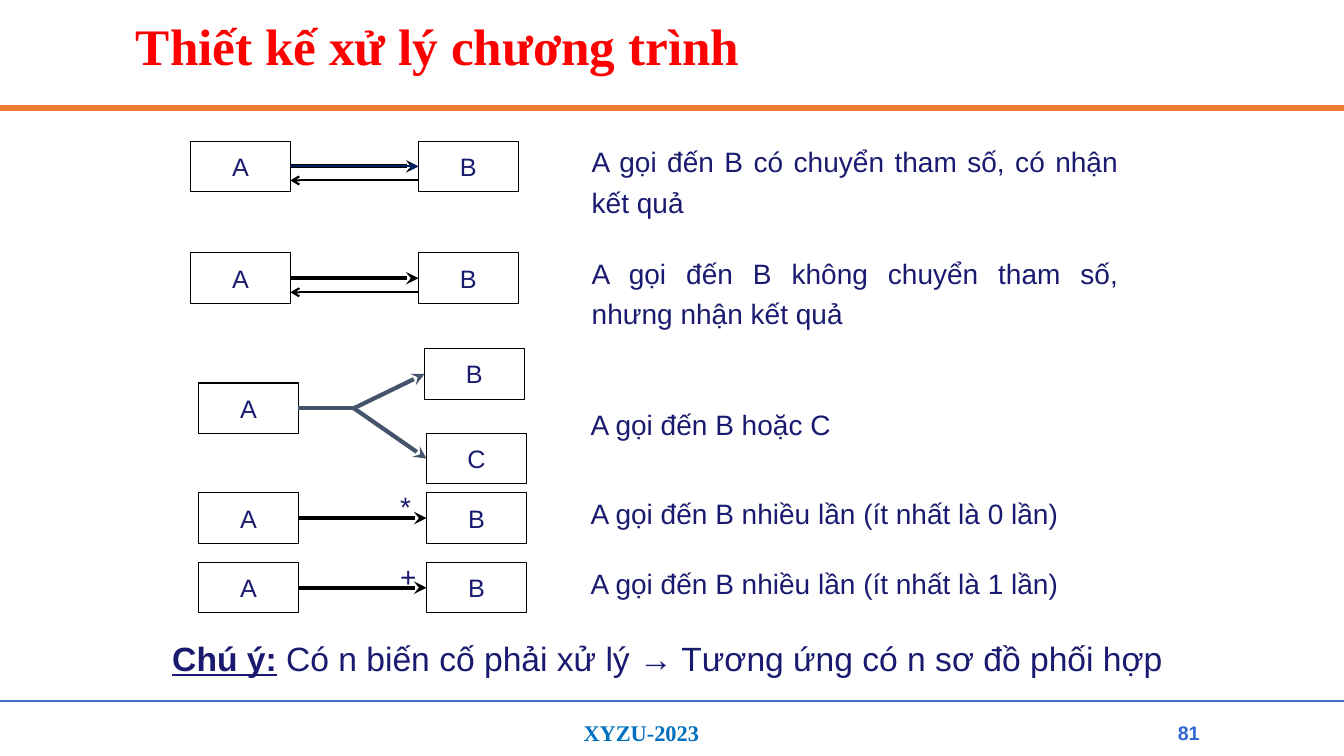
from dataclasses import dataclass

from lxml import etree
from pptx import Presentation
from pptx import util as u
from pptx.dml.color import RGBColor
from pptx.enum import shapes, text
from pptx.oxml.ns import qn

ALIGN = text.PP_ALIGN
ANCHOR = text.MSO_ANCHOR
LEFT, RIGHT = 1, 3  # connection sites of a rectangle
BOX_W, BOX_H = 0.99, 0.5


@dataclass(frozen=True)
class Theme:
    sans: str = "Arial"
    serif: str = "Times New Roman"
    ink: str = "1A1A70"
    black: str = "000000"
    white: str = "FFFFFF"
    title: str = "FF0000"
    title_rule: str = "ED7D31"
    footer: str = "0070C0"
    footer_rule: str = "4472C4"
    number: str = "3167D3"
    branch: str = "44546A"
    param: str = "002060"
    title_pt: float = 36.6
    note_pt: float = 24
    body_pt: float = 20
    label_pt: float = 18
    footer_pt: float = 16
    number_pt: float = 14


class Slide:
    def __init__(self, prs, theme):
        self.theme = theme
        self.s = prs.slides.add_slide(prs.slide_layouts[6])

    def font(self, p, size, color, name=None, bold=False):
        p.font.size = u.Pt(size)
        p.font.name = name or self.theme.sans
        p.font.bold = bold
        p.font.color.rgb = RGBColor.from_string(color)

    def text(self, x, y, w, h, runs, size, color=None, name=None, bold=False,
             align=ALIGN.LEFT, spacing=None, anchor=ANCHOR.TOP):
        """Add a text box; runs is a string or a list of run strings."""
        tf = self.s.shapes.add_textbox(*map(u.Inches, (x, y, w, h))).text_frame
        tf.word_wrap = True
        tf.vertical_anchor = anchor
        p = tf.paragraphs[0]
        p.alignment = align
        p.line_spacing = spacing
        for words in [runs] if isinstance(runs, str) else runs:
            p.add_run().text = words
        self.font(p, size, color or self.theme.ink, name, bold)
        return p

    def body(self, x, y, w, h, runs, size=None):
        return self.text(x, y, w, h, runs, size or self.theme.body_pt,
                         align=ALIGN.JUSTIFY, spacing=1.2)

    def box(self, x, y, label, filled=False):
        sp = self.s.shapes.add_shape(shapes.MSO_SHAPE.RECTANGLE,
                                     *map(u.Inches, (x, y, BOX_W, BOX_H)))
        sp.shadow.inherit = False
        if filled:
            sp.fill.solid()
            sp.fill.fore_color.rgb = RGBColor.from_string(self.theme.white)
        else:
            sp.fill.background()
        sp.line.color.rgb = RGBColor.from_string(self.theme.black)
        sp.line.width = u.Pt(0.75)
        tf = sp.text_frame
        tf.word_wrap = False
        tf.vertical_anchor = ANCHOR.MIDDLE
        p = tf.paragraphs[0]
        p.text = label
        p.alignment = ALIGN.CENTER
        self.font(p, self.theme.label_pt, self.theme.ink)
        return sp

    def line(self, x1, y1, x2, y2, color, width, head=None, begin=None, end=None):
        """Add a line; begin leaves a box on its right, end enters one on its left."""
        cx = self.s.shapes.add_connector(shapes.MSO_CONNECTOR.STRAIGHT,
                                         *map(u.Inches, (x1, y1, x2, y2)))
        cx.line.color.rgb = RGBColor.from_string(color)
        cx.line.width = u.Pt(width)
        if head:
            etree.SubElement(cx.line._get_or_add_ln(), qn("a:tailEnd"), type=head)
        etree.SubElement(cx._element.spPr, qn("a:effectLst"))
        if begin is not None:
            cx.begin_connect(begin, RIGHT)
        if end is not None:
            cx.end_connect(end, LEFT)

    def call(self, x, y, filled=False):
        """Add module A calling module B with a bold arrow."""
        a, b = self.box(x, y, "A", filled), self.box(x + 2.26, y, "B", filled)
        mid = y + BOX_H / 2
        self.line(x + BOX_W, mid, x + 2.26, mid, self.theme.black, 3, "stealth", a, b)
        return a, b


def main():
    prs = Presentation()
    prs.slide_width, prs.slide_height = u.Inches(13.33), u.Inches(7.5)
    t = Theme()
    s = Slide(prs, t)

    # Title, rules and footer
    s.line(0, 1.07, 13.33, 1.07, t.title_rule, 4.5)
    s.line(0, 6.95, 13.33, 6.95, t.footer_rule, 1.5)
    s.text(1.25, 0.2, 10.83, 0.58, "Thiết kế xử lý chương trình", t.title_pt,
           t.title, t.serif, True, spacing=0.9, anchor=ANCHOR.MIDDLE)
    s.text(5.69, 7.09, 1.78, 0.37, "XYZU-2023", t.footer_pt, t.footer, t.serif, True)
    s.text(11.56, 7.09, 0.46, 0.36, "81", t.number_pt, t.number, bold=True,
           align=ALIGN.CENTER, anchor=ANCHOR.MIDDLE)

    # Calls that return a result, with and without parameters
    for y, words, has_params in (
            (1.4, "A gọi đến B có chuyển tham số, có nhận kết quả", True),
            (2.51, "A gọi đến B không chuyển tham số, nhưng nhận kết quả", False)):
        a, b = s.call(1.89, y, filled=True)
        s.line(4.15, y + 0.39, 2.88, y + 0.39, t.black, 1.5, "arrow")
        if has_params:
            s.line(2.88, y + 0.25, 4.15, y + 0.25, t.param, 1.5, "triangle", a, b)
        s.body(5.77, y - 0.08, 5.42, 0.87, words)

    # Call to one of two modules
    a = s.box(1.97, 3.8, "A")
    s.line(2.96, 4.05, 3.51, 4.05, t.branch, 3, begin=a)
    for x, y, label in ((4.21, 3.46, "B"), (4.23, 4.3, "C")):
        target = s.box(x, y, label)
        s.line(3.51, 4.05, x, y + BOX_H / 2, t.branch, 3, "stealth", end=target)
    s.body(5.76, 3.93, 4.6, 0.47, "A gọi đến B hoặc C")

    # Repeated calls
    for least, (y, mark) in enumerate(((4.89, "*"), (5.58, "+"))):
        s.call(1.97, y)
        s.text(3.87, y - 0.08, 0.36, 0.43, mark, t.body_pt)
        s.body(5.76, y - 0.08, 5.6, 0.47,
               f"A gọi đến B nhiều lần (ít nhất là {least} lần)")

    # Closing note
    p = s.body(1.61, 6.2, 10.18, 0.54,
               ["Chú ý:", " Có n biến cố phải xử lý → Tương ứng có n sơ đồ phối hợp"],
               t.note_pt)
    p.runs[0].font.bold = p.runs[0].font.underline = True

    prs.save("out.pptx")


if __name__ == "__main__":
    main()
